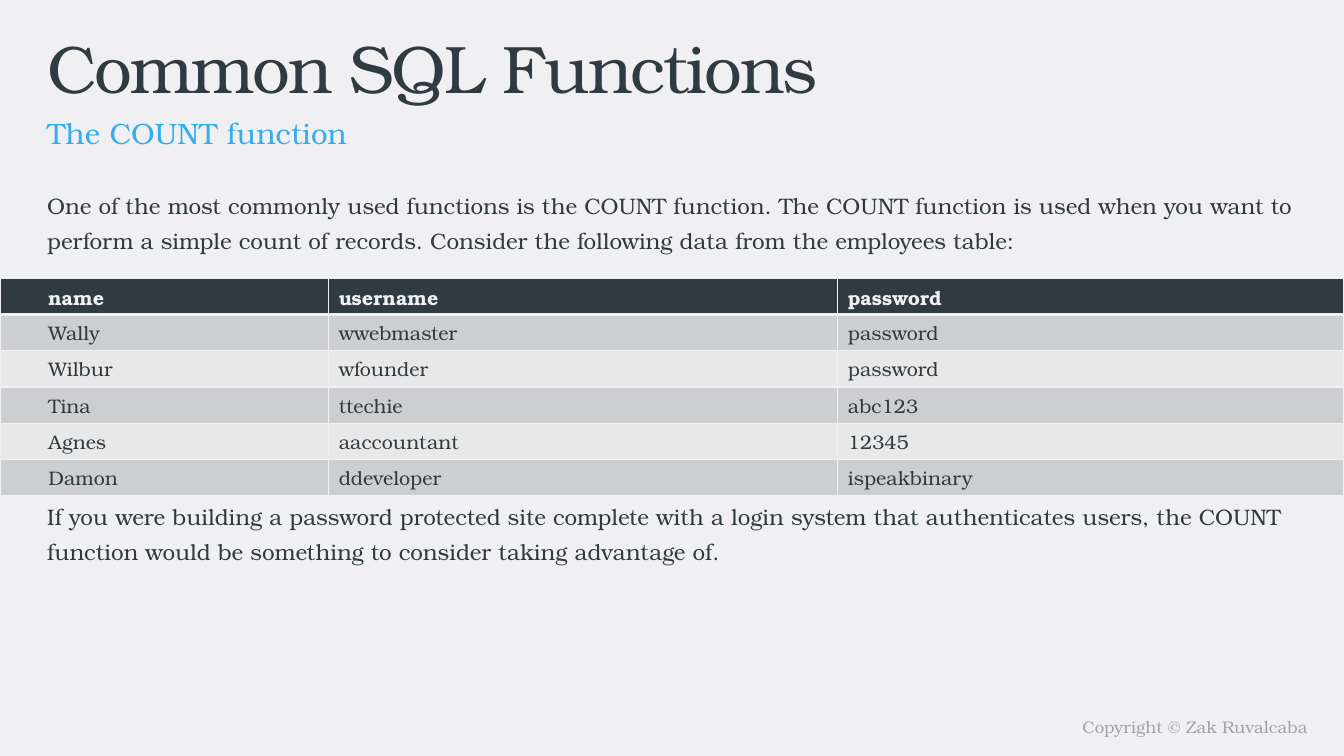
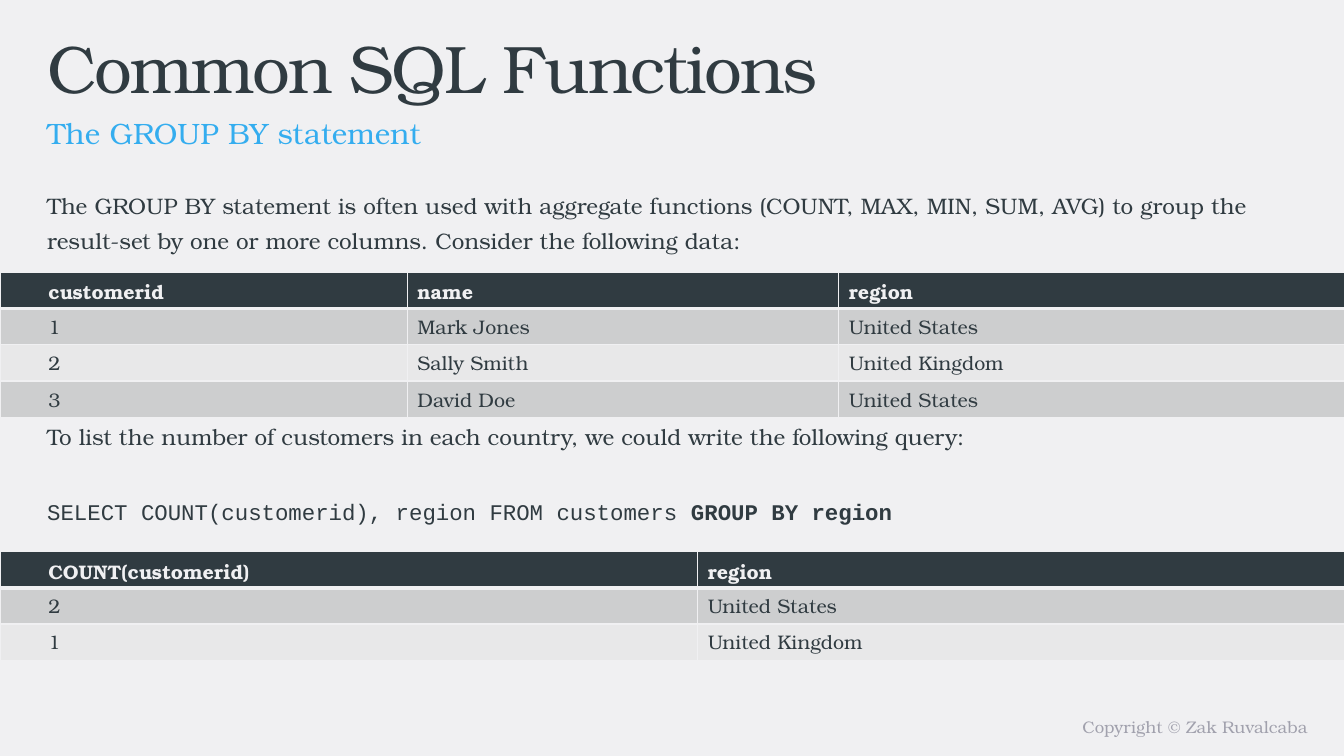
"""Build two slides on common SQL functions."""
from lxml import etree
from pptx import Presentation
from pptx.dml.color import RGBColor
from pptx.enum import text
from pptx.oxml import ns
from pptx.util import Inches, Pt

PAPER = RGBColor(0xF0, 0xF0, 0xF2)
INK = RGBColor(0x30, 0x3B, 0x41)
SKY = RGBColor(0x34, 0xAD, 0xEF)
MUTED = RGBColor(0xA1, 0xA1, 0xAD)
BANDS = (RGBColor(0xCD, 0xCE, 0xCF), RGBColor(0xE8, 0xE8, 0xE9))

SERIF = "TeX Gyre Bonum"
MONO = "Courier New"
MARGIN = 0.37
BODY_WIDTH = 12.6
BODY_TOP = 1.78
HEAD_WIDTH = 11.76
ROW_HEIGHT = 0.36


def style(paragraph, size, color, font=SERIF, bold=None):
    """Set the font of a whole paragraph."""
    paragraph.font.name = font
    paragraph.font.size = Pt(size)
    paragraph.font.color.rgb = color
    paragraph.font.bold = bold


def add_text(slide, box, runs, size, color, font=SERIF, spacing=None):
    """Add a one-paragraph text box from (wording, bold) runs and return the paragraph."""
    frame = slide.shapes.add_textbox(*map(Inches, box)).text_frame
    frame.word_wrap = True
    frame.vertical_anchor = text.MSO_ANCHOR.TOP
    paragraph = frame.paragraphs[0]
    paragraph.line_spacing = spacing
    for wording, bold in runs:
        run = paragraph.add_run()
        run.text = wording
        if bold:
            run.font.bold = True
    style(paragraph, size, color, font)
    return paragraph


def add_body(slide, top, wording, height=0.8):
    """Add a paragraph of body text."""
    add_text(slide, (MARGIN, top, BODY_WIDTH, height), [(wording, False)], 16, INK, spacing=1.3)


def add_code(slide, top, runs):
    """Add a line of code."""
    add_text(slide, (MARGIN, top, BODY_WIDTH, 0.45), runs, 16, INK, MONO, 1.3)


def add_frame(prs, subtitle):
    """Add a slide with its background, title, subtitle and copyright line."""
    slide = prs.slides.add_slide(prs.slide_layouts[6])
    slide.background.fill.solid()
    slide.background.fill.fore_color.rgb = PAPER
    owner = add_text(slide, (6.67, 7.06, 6.4, 0.31),
                     [("Copyright © Zak Ruvalcaba", False)], 12, MUTED)
    owner.alignment = text.PP_ALIGN.RIGHT
    title = add_text(slide, (MARGIN, 0.21, HEAD_WIDTH, 0.79),
                     [("Common SQL Functions", False)], 48, INK)
    title.runs[0].font._element.set("spc", "-150")
    add_text(slide, (MARGIN, 0.99, HEAD_WIDTH, 0.39), [(subtitle, False)], 21, SKY, spacing=1.3)
    return slide


def set_borders(cell, top, bottom):
    """Draw the cell borders, with top and bottom widths in points."""
    properties = cell._tc.get_or_add_tcPr()
    for side, width in (("L", 1), ("R", 1), ("T", top), ("B", bottom)):
        line = etree.SubElement(properties, ns.qn(f"a:ln{side}"), w=str(Pt(width)))
        fill = etree.SubElement(line, ns.qn("a:solidFill"))
        etree.SubElement(fill, ns.qn("a:srgbClr"), val=str(PAPER))


def add_data(slide, top, widths, rows):
    """Add a full-width table with a dark header and banded rows."""
    table = slide.shapes.add_table(
        len(rows), len(widths), 0, Inches(top),
        Inches(sum(widths)), Inches(ROW_HEIGHT * len(rows))).table
    table.horz_banding = False
    for column, width in zip(table.columns, widths):
        column.width = Inches(width)
    for r, values in enumerate(rows):
        header = r == 0
        for c, value in enumerate(values):
            cell = table.cell(r, c)
            cell.text = value
            cell.margin_left = Inches(0.1 if c else 0.48)
            cell.vertical_anchor = text.MSO_ANCHOR.MIDDLE
            set_borders(cell, 3 if r == 1 else 1, 3 if header else 1)
            cell.fill.solid()
            cell.fill.fore_color.rgb = INK if header else BANDS[(r - 1) % 2]
            style(cell.text_frame.paragraphs[0], 14, PAPER if header else INK, bold=header)


def add_count_slide(prs):
    """Add the slide on COUNT."""
    slide = add_frame(prs, "The COUNT function")
    add_body(slide, BODY_TOP,
             "One of the most commonly used functions is the COUNT function. The COUNT function "
             "is used when you want to perform a simple count of records. Consider the following "
             "data from the employees table:")
    add_data(slide, 2.76, (3.26, 5.05, 5.02), (
        ("name", "username", "password"),
        ("Wally", "wwebmaster", "password"),
        ("Wilbur", "wfounder", "password"),
        ("Tina", "ttechie", "abc123"),
        ("Agnes", "aaccountant", "12345"),
        ("Damon", "ddeveloper", "ispeakbinary")))
    add_body(slide, 4.86,
             "If you were building a password protected site complete with a login system that "
             "authenticates users, the COUNT function would be something to consider taking "
             "advantage of.")


def add_group_slide(prs):
    """Add the slide on GROUP BY."""
    slide = add_frame(prs, "The GROUP BY statement")
    add_body(slide, BODY_TOP,
             "The GROUP BY statement is often used with aggregate functions (COUNT, MAX, MIN, "
             "SUM, AVG) to group the result-set by one or more columns. Consider the following "
             "data:")
    add_data(slide, 2.7, (4.04, 4.28, 5.02), (
        ("customerid", "name", "region"),
        ("1", "Mark Jones", "United States"),
        ("2", "Sally Smith", "United Kingdom"),
        ("3", "David Doe", "United States")))
    add_body(slide, 4.07,
             "To list the number of customers in each country, we could write the following query:",
             0.45)
    add_code(slide, 4.81, [("SELECT COUNT(customerid), region FROM customers ", False),
                           ("GROUP BY region", True)])
    add_data(slide, 5.47, (6.92, 6.42), (
        ("COUNT(customerid)", "region"),
        ("2", "United States"),
        ("1", "United Kingdom")))


def main():
    """Build and save the presentation."""
    prs = Presentation()
    prs.slide_width, prs.slide_height = Inches(13.33), Inches(7.5)
    add_count_slide(prs)
    add_group_slide(prs)
    prs.save("out.pptx")


if __name__ == "__main__":
    main()
